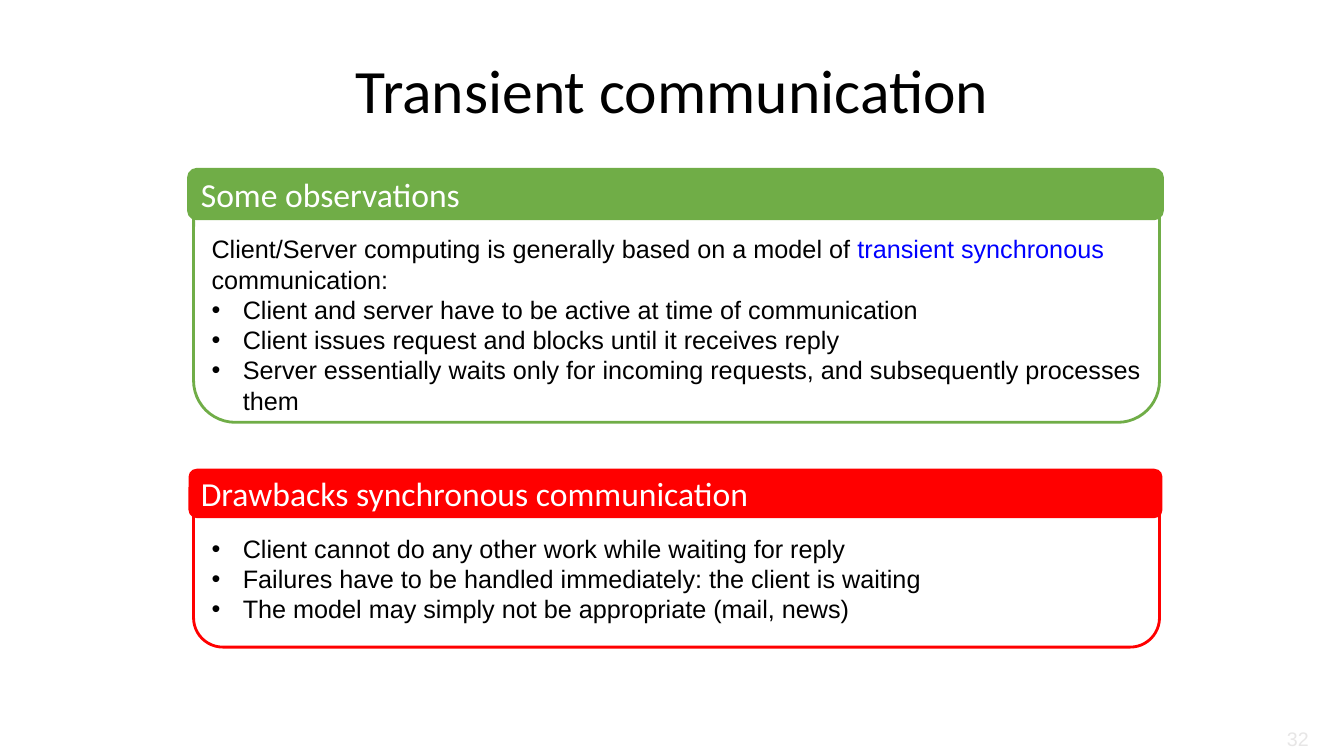
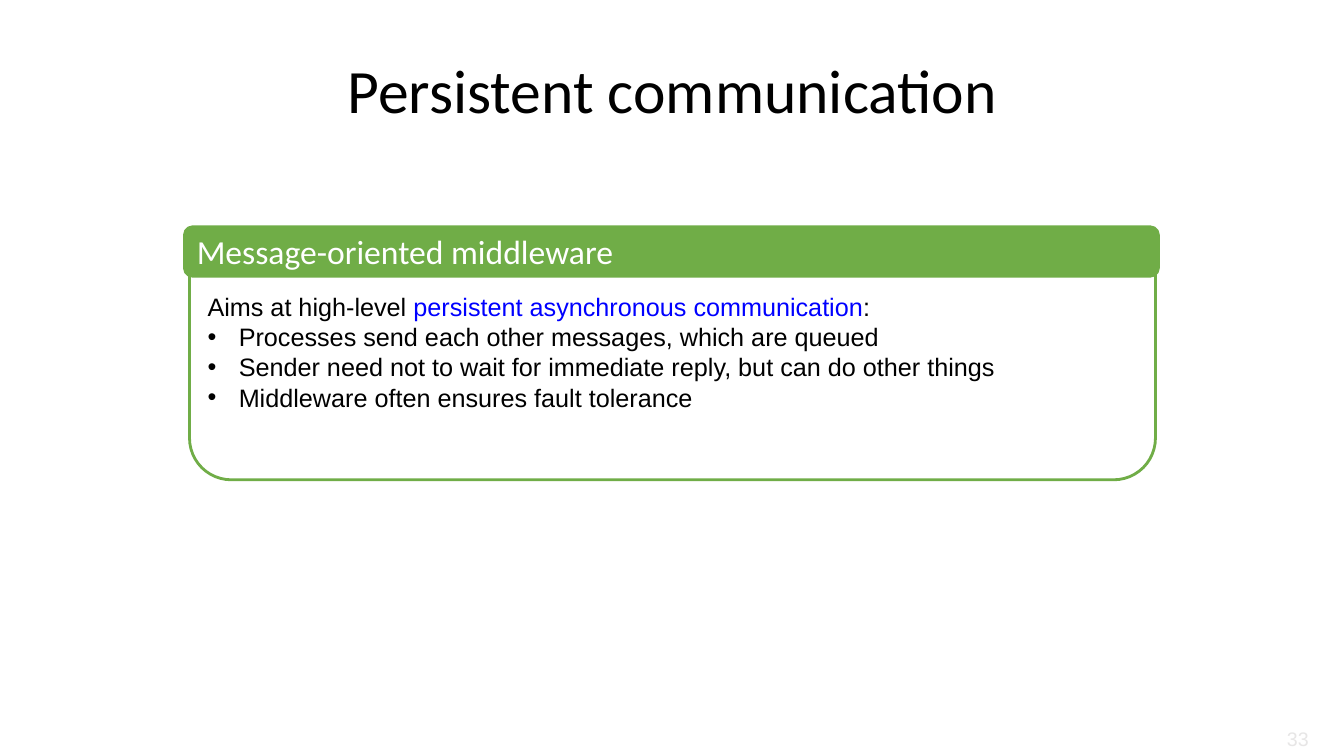
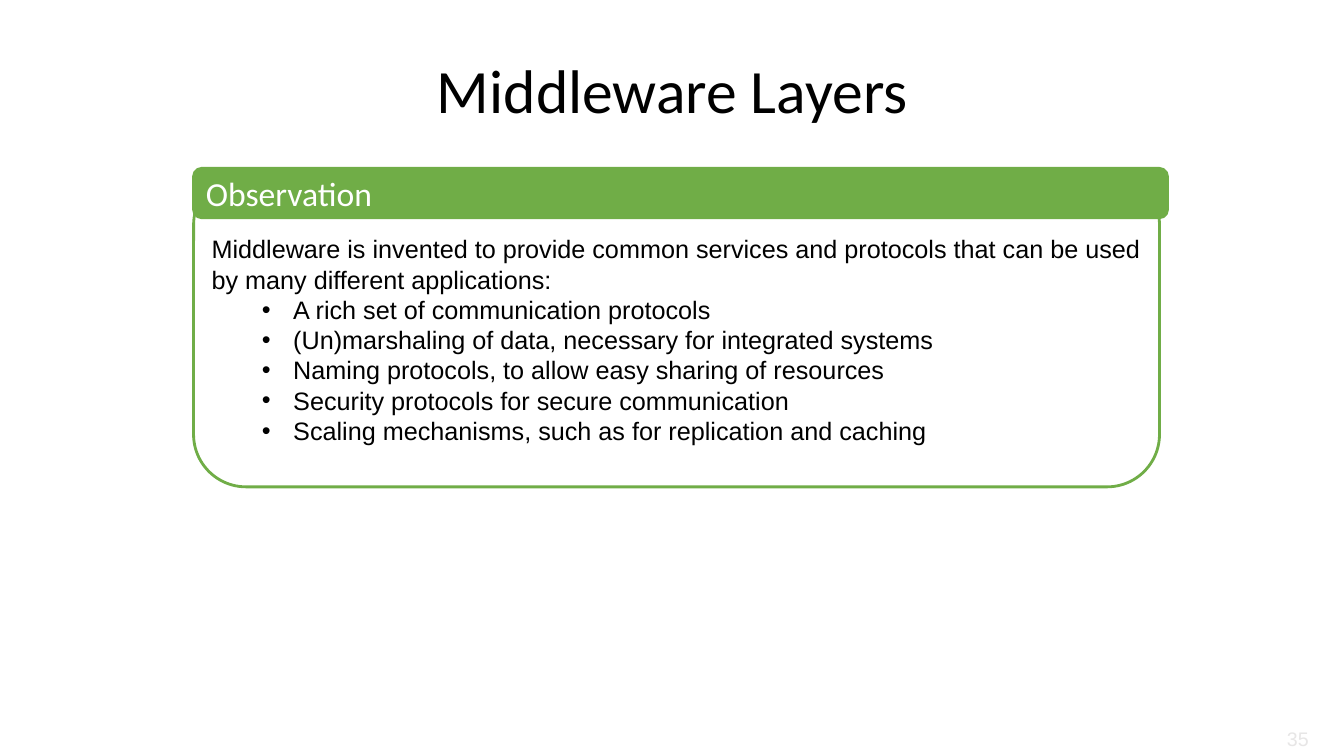
from lxml import etree
from pptx import Presentation
from pptx.dml.color import RGBColor
from pptx.enum.shapes import MSO_SHAPE
from pptx.enum.text import MSO_ANCHOR, PP_ALIGN
from pptx.oxml.ns import qn
from pptx.util import Inches, Pt

ROUNDED = MSO_SHAPE.ROUNDED_RECTANGLE
MIDDLE = MSO_ANCHOR.MIDDLE
LEFT, CENTER, RIGHT = PP_ALIGN.LEFT, PP_ALIGN.CENTER, PP_ALIGN.RIGHT
TITLE_ONLY = 5
COLORS = {
    "black": "000000",
    "white": "FFFFFF",
    "green": "70AD47",
    "red": "FF0000",
    "blue": "0000FF",
    "gray": "E7E6E6",
}
HEADING_FONT, BODY_FONT = "Calibri", "Arial"
PANEL_WIDTH = 9.58
HEADER_WIDTH, HEADER_HEIGHT = 9.66, 0.49
HANGING_INDENT = 0.31
LEVEL_INDENT = 0.5


def rgb(name):
    return RGBColor.from_string(COLORS[name])


class Deck:
    def __init__(self):
        self.presentation = Presentation()
        self.presentation.slide_width = Inches(13.33)
        self.presentation.slide_height = Inches(7.5)
        self.slide = None

    def style(self, paragraph, font_name, size, color, align=LEFT):
        paragraph.alignment = align
        paragraph.font.name = font_name
        paragraph.font.size = Pt(size)
        paragraph.font.color.rgb = rgb(color)

    def add_slide(self, title, number):
        layout = self.presentation.slide_layouts[TITLE_ONLY]
        self.slide = self.presentation.slides.add_slide(layout)
        shape = self.slide.shapes.title
        shape.left, shape.top = Inches(2.17), Inches(0.35)
        shape.width, shape.height = Inches(9), Inches(1.15)
        shape.text_frame.text = title
        shape.text_frame.vertical_anchor = MIDDLE
        paragraph = shape.text_frame.paragraphs[0]
        paragraph.line_spacing = 0.9
        self.style(paragraph, HEADING_FONT, 44, "black", CENTER)
        frame = self.text_box(12.08, 7.13, 1, 0.4)
        frame.vertical_anchor = MIDDLE
        frame.text = str(number)
        self.style(frame.paragraphs[0], BODY_FONT, 14, "gray", RIGHT)

    def text_box(self, left, top, width, height):
        shape = self.slide.shapes.add_textbox(
            Inches(left), Inches(top), Inches(width), Inches(height))
        shape.text_frame.word_wrap = True
        return shape.text_frame

    def rounded_box(self, left, top, width, height, fill, line):
        shape = self.slide.shapes.add_shape(
            ROUNDED, Inches(left), Inches(top), Inches(width), Inches(height))
        shape.shadow.inherit = False
        shape.fill.solid()
        shape.fill.fore_color.rgb = rgb(fill)
        if line:
            shape.line.color.rgb = rgb(line)
            shape.line.width = Pt(2)
        else:
            shape.line.fill.background()
        return shape

    def bullet(self, paragraph, level):
        paragraph.level = level
        properties = paragraph._p.get_or_add_pPr()
        indent = HANGING_INDENT + level * LEVEL_INDENT
        properties.set("marL", str(Inches(indent)))
        properties.set("indent", str(-Inches(HANGING_INDENT)))
        etree.SubElement(properties, qn("a:buFont")).set("typeface", BODY_FONT)
        etree.SubElement(properties, qn("a:buChar")).set("char", "•")

    def panel(self, left, top, height, heading, bullets, intro=(), color="green",
              header_line="green", header_shift=(-0.05, -0.03), level=0):
        self.rounded_box(left, top, PANEL_WIDTH, height, "white", color)
        shift_x, shift_y = header_shift
        header = self.rounded_box(left + shift_x, top + shift_y, HEADER_WIDTH,
                                  HEADER_HEIGHT, color, header_line)
        header.text_frame.text = heading
        header.text_frame.vertical_anchor = MIDDLE
        self.style(header.text_frame.paragraphs[0], HEADING_FONT, 24, "white")
        frame = self.text_box(left + 0.08, top + 0.56, PANEL_WIDTH, height - 0.56)
        rows = [(intro, False)] if intro else []
        rows += [([(text, "black")], True) for text in bullets]
        for index, (runs, bulleted) in enumerate(rows):
            paragraph = frame.add_paragraph() if index else frame.paragraphs[0]
            if bulleted:
                self.bullet(paragraph, level)
            self.style(paragraph, BODY_FONT, 18, "black")
            for text, run_color in runs:
                run = paragraph.add_run()
                run.text = text
                if run_color != "black":
                    run.font.color.rgb = rgb(run_color)


def main():
    deck = Deck()

    deck.add_slide("Transient communication", 32)
    deck.panel(
        1.92, 1.71, 2.48, "Some observations",
        ["Client and server have to be active at time of communication",
         "Client issues request and blocks until it receives reply",
         "Server essentially waits only for incoming requests, and subsequently "
         "processes them"],
        intro=[("Client/Server computing is generally based on a model of ", "black"),
               ("transient synchronous ", "blue"),
               ("communication:", "black")])
    deck.panel(
        1.92, 4.68, 1.74, "Drawbacks synchronous communication",
        ["Client cannot do any other work while waiting for reply",
         "Failures have to be handled immediately: the client is waiting",
         "The model may simply not be appropriate (mail, news)"],
        color="red", header_line=None)

    deck.add_slide("Persistent communication", 33)
    deck.panel(
        1.88, 2.28, 2.48, "Message-oriented middleware",
        ["Processes send each other messages, which are queued",
         "Sender need not to wait for immediate reply, but can do other things",
         "Middleware often ensures fault tolerance"],
        intro=[("Aims at high-level ", "black"),
               ("persistent asynchronous communication", "blue"),
               (":", "black")])

    deck.add_slide("Middleware Layers", 35)
    deck.panel(
        1.92, 1.71, 3.12, "Observation",
        ["A rich set of communication protocols",
         "(Un)marshaling of data, necessary for integrated systems",
         "Naming protocols, to allow easy sharing of resources",
         "Security protocols for secure communication",
         "Scaling mechanisms, such as for replication and caching"],
        intro=[("Middleware is invented to provide common services and protocols "
                "that can be used by many different applications:", "black")],
        header_shift=(0, -0.04), level=1)

    deck.presentation.save("out.pptx")


if __name__ == "__main__":
    main()
